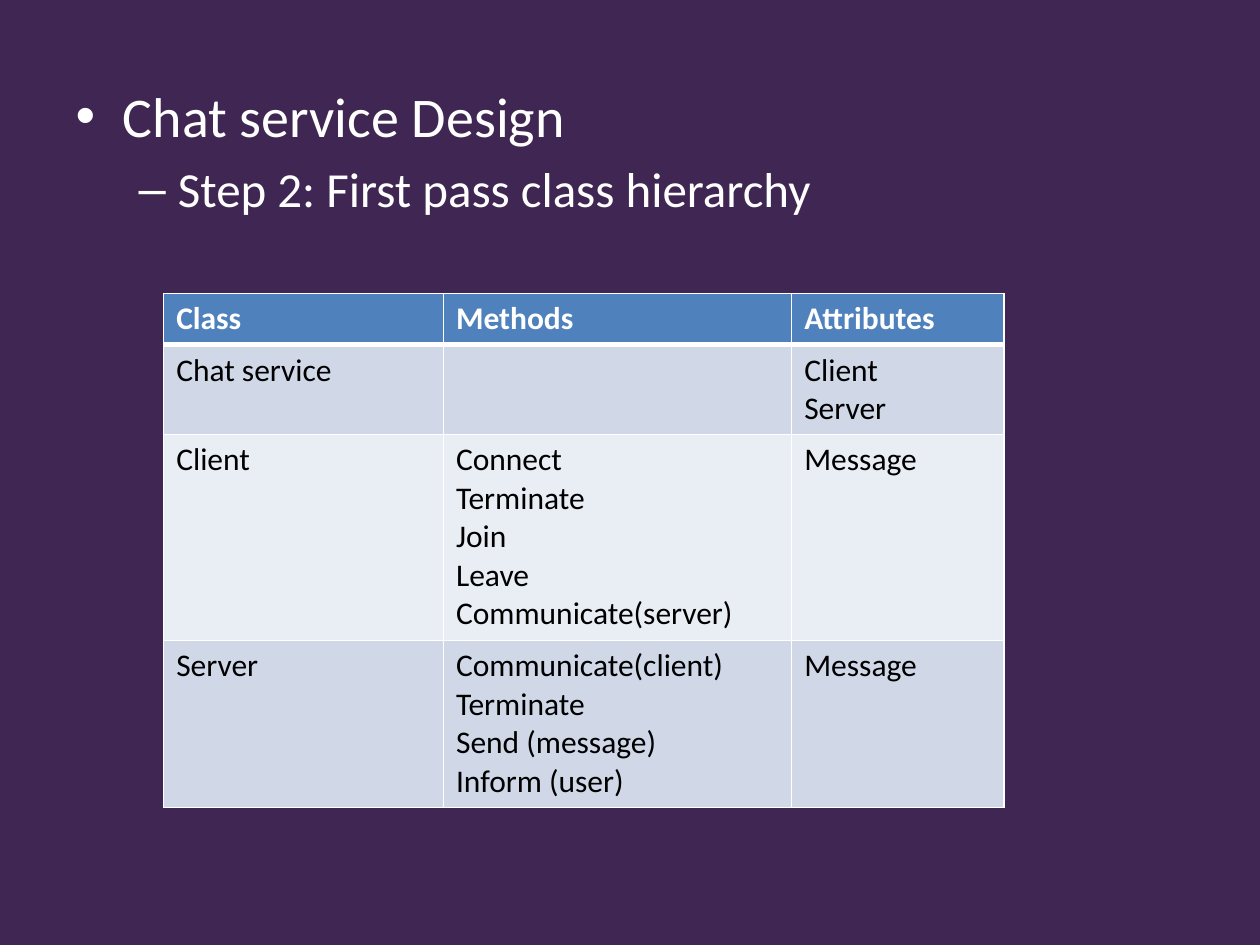
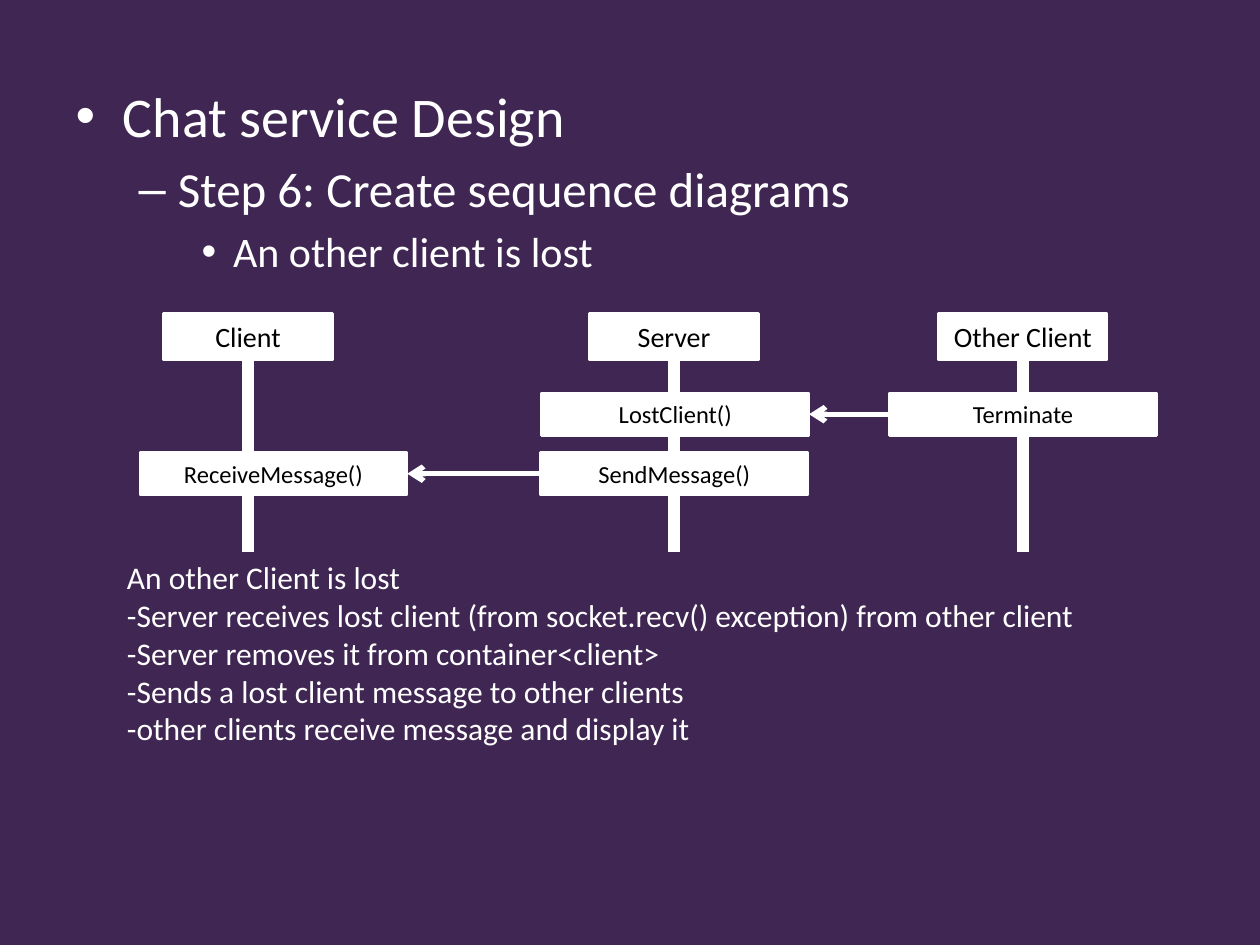
"""Build two chat service design slides: a class table and a sequence diagram."""
from lxml import etree
from pptx import Presentation
from pptx import util as u
from pptx.dml.color import RGBColor
from pptx.enum import shapes, text
from pptx.oxml import ns, parse_xml

PLUM = RGBColor(0x40, 0x26, 0x52)
WHITE = RGBColor(0xFF, 0xFF, 0xFF)
BLACK = RGBColor(0x00, 0x00, 0x00)
BLUE = RGBColor(0x4F, 0x81, 0xBD)
BANDS = [RGBColor(0xD0, 0xD8, 0xE8), RGBColor(0xE9, 0xED, 0xF4)]
LEFT, MID = text.PP_ALIGN.LEFT, text.PP_ALIGN.CENTER
TOP = text.MSO_ANCHOR.TOP


def write(frame, lines, size, color, align=LEFT, bold=False):
    style = {"name": "Calibri", "size": u.Pt(size), "bold": bold}
    frame.text = "\n".join(lines)
    for par in frame.paragraphs:
        par.alignment = align
        for run in par.runs:
            for key, val in style.items():
                setattr(run.font, key, val)
            run.font.color.rgb = color


def block(slide, left, top, width, height, fill, edge=True):
    rect = slide.shapes.add_shape(
        shapes.MSO_SHAPE.RECTANGLE, *map(u.Cm, (left, top, width, height)))
    rect.shadow.inherit = False
    rect.fill.solid()
    rect.fill.fore_color.rgb = fill
    if edge:
        rect.line.color.rgb = WHITE
        rect.line.width = u.Pt(1.5)
    else:
        rect.line.fill.background()
    for key, val in {"word_wrap": True, "vertical_anchor": TOP}.items():
        setattr(rect.text_frame, key, val)
    return rect


deck = Presentation()
deck.slide_width, deck.slide_height = u.Cm(25.4), u.Cm(19.05)
ground = deck.slide_master.background.fill
ground.solid()
ground.fore_color.rgb = PLUM

heads = [
    ["Chat service Design", "Step 2: First pass class hierarchy"],
    ["Chat service Design", "Step 6: Create sequence diagrams",
     "An other client is lost"],
]
place = {"left": 1.27, "top": 1.52, "width": 22.86, "height": 16.99}
slides = []
for lines in heads:
    slide = deck.slides.add_slide(deck.slide_layouts[1])
    title = slide.shapes.title.element
    title.getparent().remove(title)
    body = slide.placeholders[1]
    for key, val in place.items():
        setattr(body, key, u.Cm(val))
    write(body.text_frame, lines, 32, WHITE)
    for depth, par in enumerate(body.text_frame.paragraphs):
        par.level = depth
        par.runs[0].font.size = u.Pt(32 - 4 * depth)
    body.text_frame.paragraphs[0].space_before = u.Pt(0)
    slides.append(slide)
first, second = slides

rows = [
    [["Class"], ["Methods"], ["Attributes"]],
    [["Chat service"], [], ["Client", "Server"]],
    [["Client"],
     ["Connect", "Terminate", "Join", "Leave", "Communicate(server)"],
     ["Message"]],
    [["Server"],
     ["Communicate(client)", "Terminate", "Send (message)", "Inform (user)"],
     ["Message"]],
]
widths = [5.64, 7.02, 4.28]
grid = first.shapes.add_table(
    len(rows), len(widths), u.Cm(3.3), u.Cm(5.92),
    u.Cm(sum(widths)), u.Cm(10.3)).table
for col, width in zip(grid.columns, widths):
    col.width = u.Cm(width)
for r, row in enumerate(rows):
    grid.rows[r].height = u.Cm(0.25 + 0.78 * max(map(len, row)))
    for c, lines in enumerate(row):
        cell = grid.cell(r, c)
        write(cell.text_frame, lines, 18, WHITE if r == 0 else BLACK,
              bold=r == 0)
        props = cell._tc.get_or_add_tcPr()
        for side in "LRTB":
            thick = 3 if (r, side) in [(0, "B"), (1, "T")] else 1
            props.append(parse_xml(
                f'<a:ln{side} {ns.nsdecls("a")} w="{u.Pt(thick)}"><a:solidFill>'
                f'<a:srgbClr val="{WHITE}"/></a:solidFill></a:ln{side}>'))
        cell.fill.solid()
        cell.fill.fore_color.rgb = BLUE if r == 0 else BANDS[(r - 1) % 2]

actors = {"Client": 5, "Server": 13.59, "Other Client": 20.62}
for name, x in actors.items():
    block(second, x - 0.1, 7.14, 0.2, 9.83, WHITE)
    head = block(second, x - 1.7, 6.32, 3.4, 0.94, WHITE)
    write(head.text_frame, [name], 16, BLACK, MID)

calls = [
    ("Terminate", 17.93, "LostClient()", 10.92, 7.92),
    ("SendMessage()", 10.9, "ReceiveMessage()", 2.82, 9.12),
]
for source, start, target, end, y in calls:
    pair = []
    for name, x in [(source, start), (target, end)]:
        step = block(second, x, y, 5.39, 0.86, WHITE)
        write(step.text_frame, [name], 14, BLACK, MID)
        pair.append(step)
    arrow = second.shapes.add_connector(shapes.MSO_CONNECTOR.STRAIGHT, 0, 0, 0, 0)
    arrow.begin_connect(pair[0], 1)
    arrow.end_connect(pair[1], 3)
    arrow.line.color.rgb = WHITE
    arrow.line.width = u.Pt(3)
    etree.SubElement(arrow.line._get_or_add_ln(), ns.qn("a:tailEnd"), type="arrow")
    etree.SubElement(arrow._element.spPr, ns.qn("a:effectLst"))

note = block(second, 2.31, 11.13, 20.6, 6.4, PLUM, edge=False)
write(note.text_frame, [
    "An other Client is lost",
    "-Server receives lost client (from socket.recv() exception) from other client",
    "-Server removes it from container<client>",
    "-Sends a lost client message to other clients",
    "-other clients receive message and display it",
], 18, WHITE)

deck.save("out.pptx")
